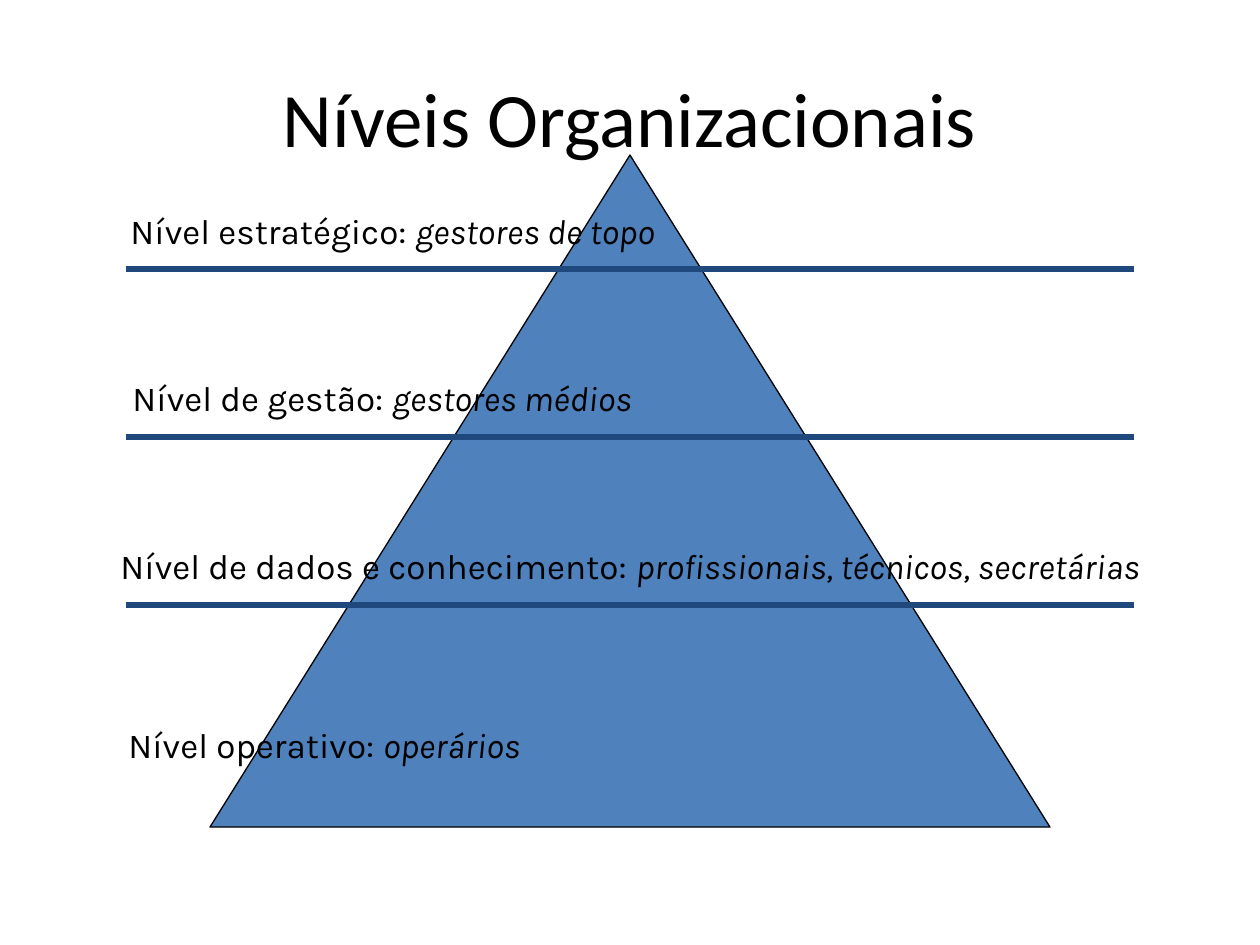
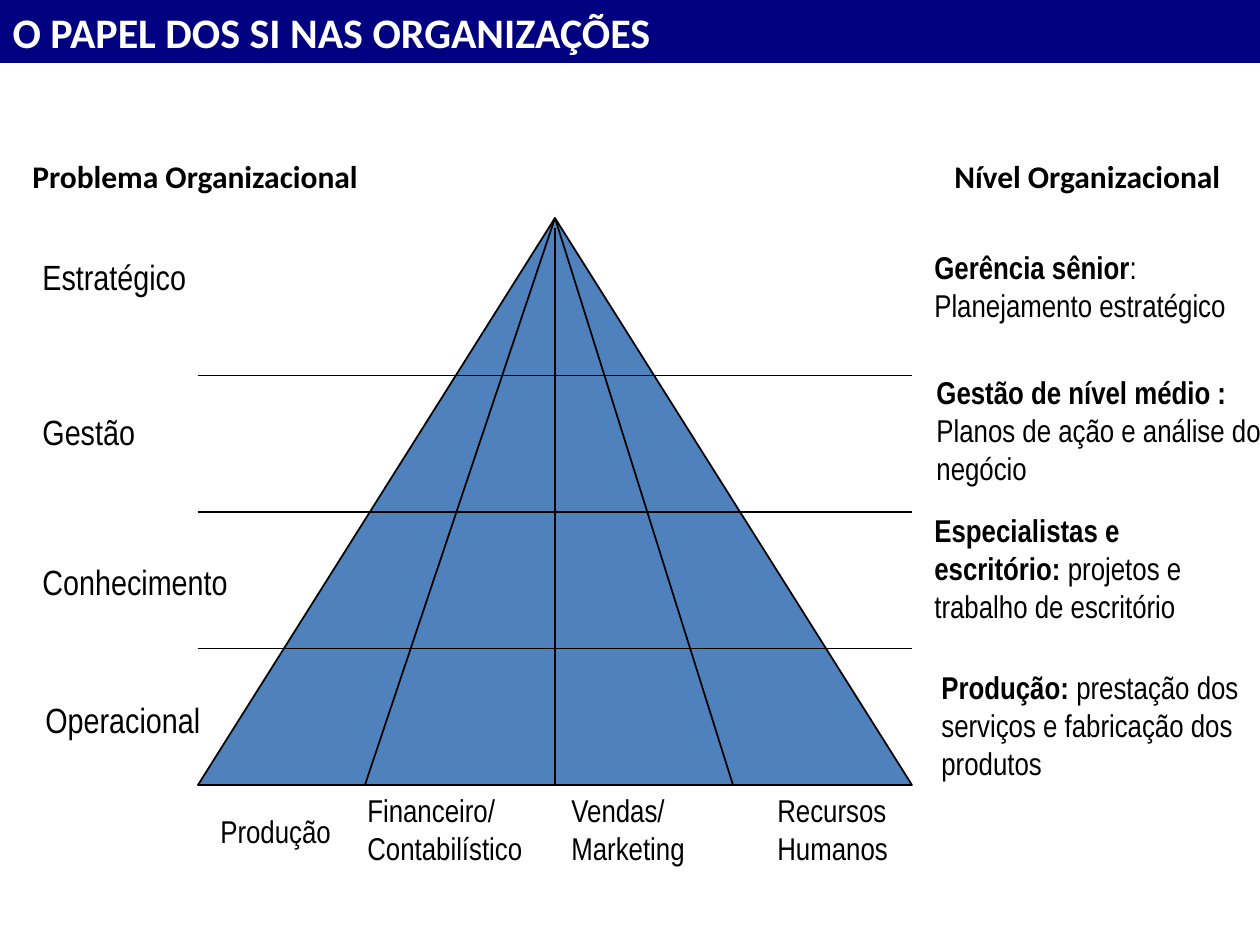
from dataclasses import dataclass

from lxml import etree
from pptx import Presentation
from pptx.dml.color import RGBColor
from pptx.enum.shapes import MSO_CONNECTOR as Conn, MSO_SHAPE as Shape
from pptx.enum.text import MSO_ANCHOR as Anchor, MSO_AUTO_SIZE as AutoSize, PP_ALIGN as Align
from pptx.oxml.ns import qn
from pptx.util import Emu, Pt

PX = 914400 / 126  # EMU in one px
SLIDE_W, SLIDE_H = 1260, 945


@dataclass(frozen=True)
class Theme:
    ink: str = "000000"
    white: str = "FFFFFF"
    pyramid: str = "4F81BD"
    rule: str = "1F497D"
    band: str = "000080"
    head_font: str = "Calibri"
    level_font: str = "Karla"
    body_font: str = "Arial Narrow"
    title: int = 44
    band_title: int = 24
    label: int = 20
    small: int = 18


T = Theme()


def px(*values):
    return [Emu(round(v * PX)) for v in values]


def rgb(value):
    return RGBColor.from_string(value)


def write(tf, runs, font=T.body_font, size=T.small, color=T.ink,
          align=Align.LEFT, anchor=Anchor.TOP, wrap=False):
    """Fill a frame with one paragraph of (text, style) runs; \\n breaks a line."""
    tf.auto_size = AutoSize.NONE
    tf.word_wrap = wrap
    tf.vertical_anchor = anchor
    p = tf.paragraphs[0]
    p.alignment = align
    for text, style in runs:
        for i, line in enumerate(text.split("\n")):
            if i:
                p.add_line_break()
            if not line:
                continue
            r = p.add_run()
            r.text = line
            f = r.font
            f.name, f.size, f.color.rgb = font, Pt(size), rgb(color)
            f.bold, f.italic = style == "bold", style == "italic"


def add_text(s, box, runs, **fmt):
    tb = s.shapes.add_textbox(*px(*box))
    write(tb.text_frame, runs, **fmt)


def set_title(s, box, text, style="", fill=None, **fmt):
    title = s.shapes.title
    title.left, title.top, title.width, title.height = px(*box)
    if fill:
        title.fill.solid()
        title.fill.fore_color.rgb = rgb(fill)
    write(title.text_frame, [(text, style)], font=T.head_font, wrap=True, **fmt)


def add_pyramid(s, kind, box, weight):
    sp = s.shapes.add_shape(kind, *px(*box))
    sp.shadow.inherit = False
    sp.fill.solid()
    sp.fill.fore_color.rgb = rgb(T.pyramid)
    sp.line.color.rgb = rgb(T.ink)
    sp.line.width = Pt(weight)


def add_line(s, x1, y1, x2, y2, color=T.ink, weight=1):
    cn = s.shapes.add_connector(Conn.STRAIGHT, *px(x1, y1, x2, y2))
    cn.line.color.rgb = rgb(color)
    cn.line.width = Pt(weight)
    etree.SubElement(cn._element.spPr, qn("a:effectLst"))


def build_levels(s):
    set_title(s, (63, 38, 1134, 157), "Níveis Organizacionais", size=T.title,
              align=Align.CENTER, anchor=Anchor.MIDDLE)
    add_pyramid(s, Shape.ISOSCELES_TRIANGLE, (210, 155, 840, 672), 0.75)
    for i in range(3):
        y = 269 + 168 * i
        add_line(s, 126, y, 1134, y, T.rule, 3)

    levels = [
        (118, 203, 578, "Nível estratégico: ", "gestores de topo"),
        (120, 370, 549, "Nível de gestão: ", "gestores médios"),
        (108, 538, 1089, "Nível de dados e conhecimento: ",
         "profissionais, técnicos, secretárias"),
        (116, 717, 442, "Nível operativo: ", "operários"),
    ]
    for x, y, w, level, people in levels:
        add_text(s, (x, y, w, 55), [(level, ""), (people, "italic")],
                 font=T.level_font, size=T.label)


def build_roles(s):
    set_title(s, (0, 0, SLIDE_W, 63), "O PAPEL DOS SI NAS ORGANIZAÇÕES", "bold",
              fill=T.band, size=T.band_title, color=T.white)

    # Pyramid, divided by area and by level
    left, top, width, height = 198, 218, 714, 567
    apex, base = left + width / 2, top + height
    add_pyramid(s, Shape.FLOWCHART_EXTRACT, (left, top, width, height), 1)
    for x, start in ((365, top), (apex, 228), (733, top)):
        add_line(s, apex, start, x, base)
    for i in range(1, 4):
        y = base - 136.5 * i
        add_line(s, left, y, left + width, y, weight=0.75)

    # Column headings
    add_text(s, (20, 151, 353, 50), [("Problema Organizacional", "bold")], font=T.head_font)
    add_text(s, (941, 151, 292, 50), [("Nível Organizacional", "bold")],
             font=T.head_font, align=Align.RIGHT)

    # Problems on the left
    problems = [
        (30, 249, 169, "Estratégico"),
        (30, 404, 117, "Gestão"),
        (30, 554, 210, "Conhecimento"),
        (33, 692, 180, "Operacional"),
    ]
    for x, y, w, text in problems:
        add_text(s, (x, y, w, 55), [(text, "")], size=T.label)

    # Functional areas under the base
    areas = [
        ((208, 806, 136, 50), "Produção", True),
        ((355, base, 199, 88), "Financeiro/\nContabilístico", True),
        ((559, base, 165, 88), "Vendas/\nMarketing", True),
        ((765, base, 135, 88), "Recursos\nHumanos", False),
    ]
    for box, text, wrap in areas:
        add_text(s, box, [(text, "")], wrap=wrap)

    # Organisational levels on the right
    roles = [
        ((922, 242, 316, 88), "Gerência sênior", ": \nPlanejamento estratégico", False),
        ((924, 367, 357, 126), "Gestão de nível médio : \n",
         "Planos de ação e análise do \nnegócio", False),
        ((922, 505, 294, 126), "Especialistas e escritório: ",
         "projetos e trabalho de escritório", True),
        ((929, 662, 336, 126), "Produção: ",
         "prestação dos serviços e fabricação dos produtos", True),
    ]
    for box, role, task, wrap in roles:
        add_text(s, box, [(role, "bold"), (task, "")], wrap=wrap)


def main():
    prs = Presentation()
    prs.slide_width, prs.slide_height = px(SLIDE_W, SLIDE_H)
    title_only = prs.slide_layouts[5]
    for build in (build_levels, build_roles):
        build(prs.slides.add_slide(title_only))
    prs.save("out.pptx")


if __name__ == "__main__":
    main()
